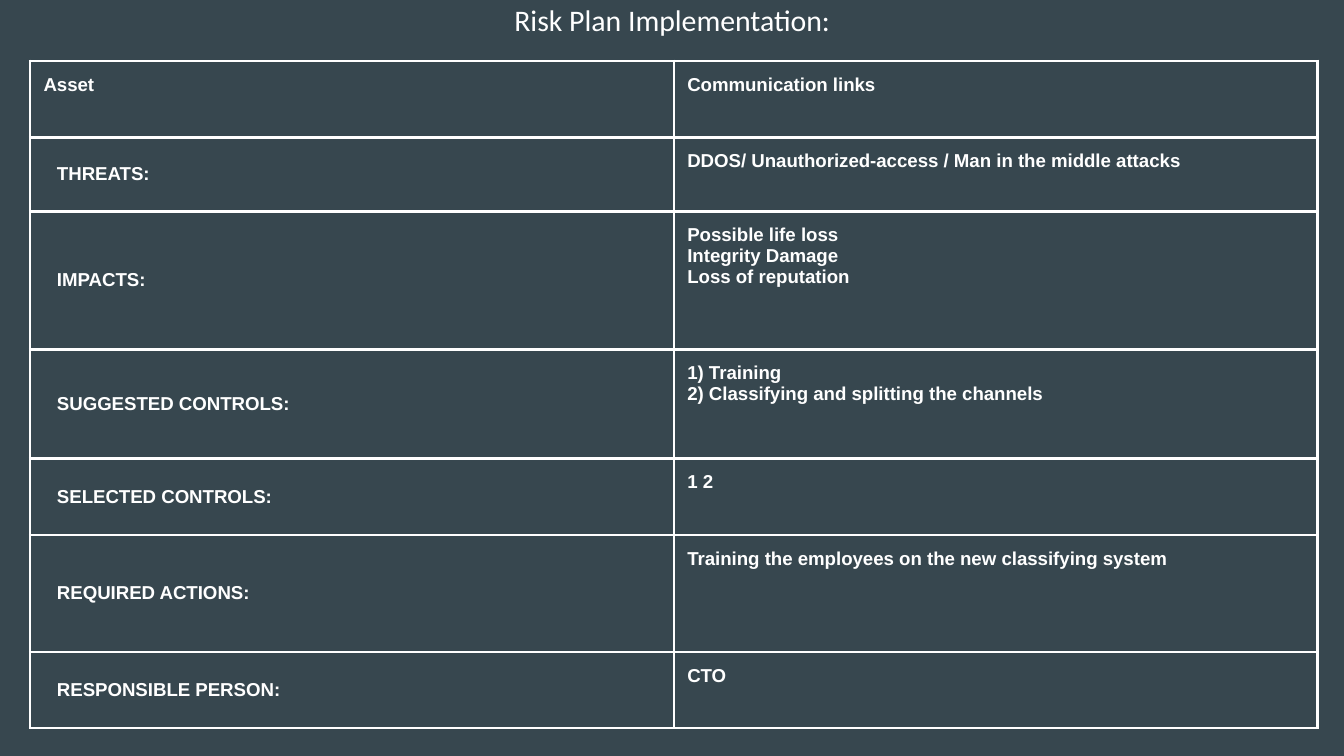
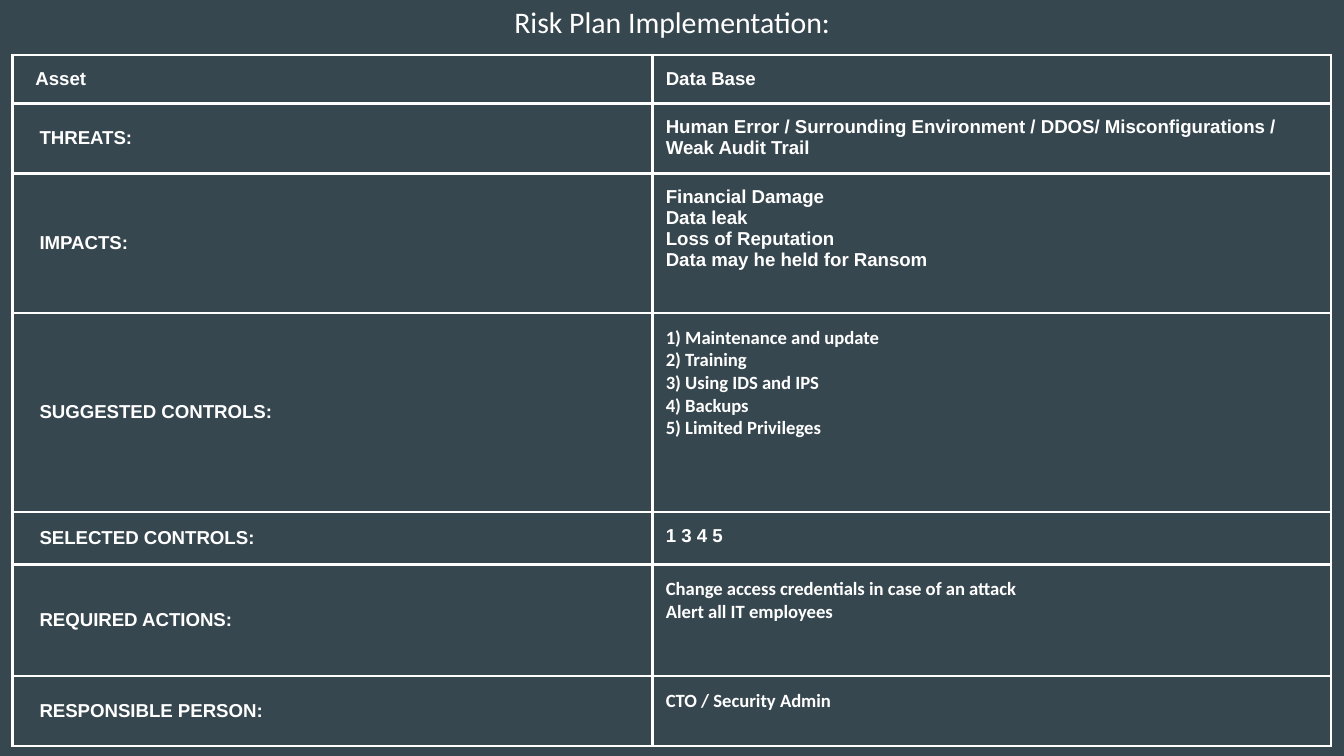
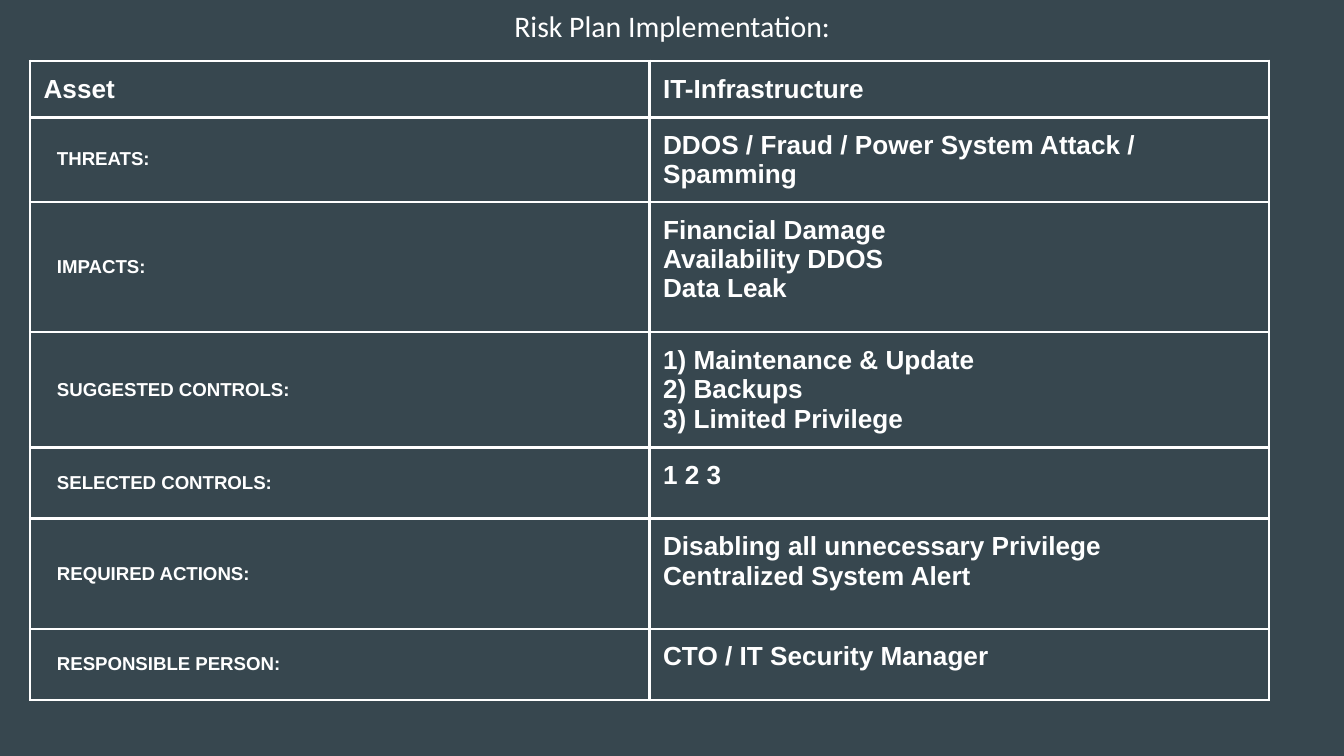
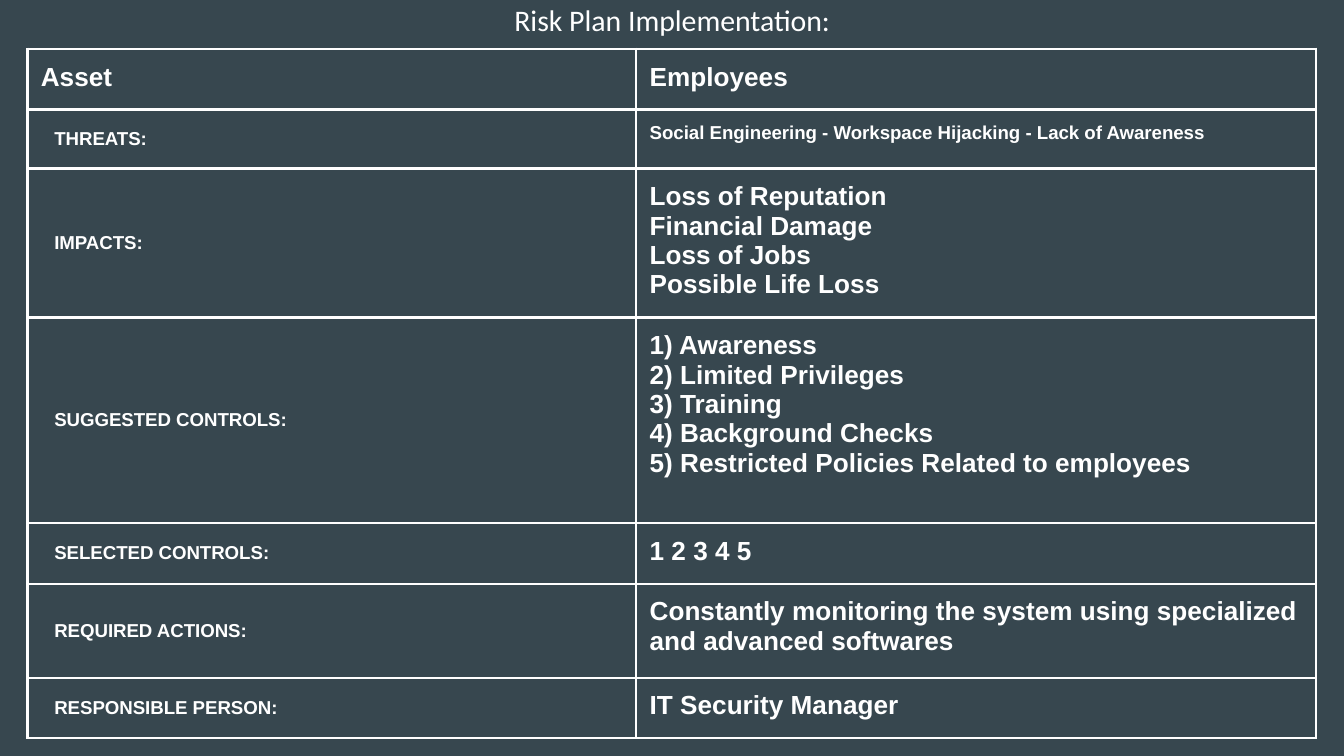
from dataclasses import dataclass, field

from lxml import etree
from pptx import Presentation
from pptx.dml.color import RGBColor
from pptx.enum.text import MSO_ANCHOR, PP_ALIGN
from pptx.oxml.ns import qn
from pptx.util import Inches, Pt

SLATE = RGBColor(0x37, 0x47, 0x4F)
WHITE = RGBColor(0xFF, 0xFF, 0xFF)
LEFT, CENTER = PP_ALIGN.LEFT, PP_ALIGN.CENTER
TOP, MIDDLE = MSO_ANCHOR.TOP, MSO_ANCHOR.MIDDLE
BODY_FONT, TITLE_FONT = "Arial", "Calibri"
WIDTH, HEIGHT = Inches(10), Inches(5.625)
BORDER = Pt(1.5)
LABEL_SIZE = 10
TITLE_INSETS = (0.1, 0.1, 0.1, 0.1)
VALUE_INSETS = (0.1, 0.1, 0.1, 0.04)
LABEL_INSETS = (0.2, 0.05, 0.1, 0.05)
TITLE = "Risk Plan Implementation:"
LABELS = ("Asset", "THREATS:", "IMPACTS:", "SUGGESTED CONTROLS:",
          "SELECTED CONTROLS:", "REQUIRED ACTIONS:", "RESPONSIBLE PERSON:")


@dataclass
class RiskPlan:
    """One asset's plan; boxes are percentages of the slide."""
    title_top: float
    box: tuple
    columns: tuple
    rows: tuple
    values: tuple
    size: int = 10
    asset_inset: float = 0.1
    formats: dict = field(default_factory=dict)


PLANS = (
    RiskPlan(
        title_top=-1.6, box=(2.24, 8.06, 95.8, 88.3), columns=(1, 1),
        rows=(57, 55, 103, 81, 57, 87, 57),
        values=(
            "Communication links",
            "DDOS/ Unauthorized-access / Man in the middle attacks",
            "Possible life loss\nIntegrity Damage\nLoss of reputation",
            "1) Training\n2) Classifying and splitting the channels",
            "1 2",
            "Training the employees on the new classifying system",
            "CTO")),
    RiskPlan(
        title_top=-1.24, box=(0.94, 7.29, 98.1, 91.38), columns=(476, 505),
        rows=(36, 52, 104, 148, 39, 83, 52), asset_inset=0.17,
        formats={row: {"font": TITLE_FONT} for row in (3, 5, 6)},
        values=(
            "Data Base",
            "Human Error / Surrounding Environment / DDOS/ Misconfigurations / "
            "Weak Audit Trail",
            "Financial Damage\nData leak\nLoss of Reputation\n"
            "Data may he held for Ransom",
            "1) Maintenance and update\n2) Training\n3) Using IDS and IPS\n"
            "4) Backups\n5) Limited Privileges",
            "1 3 4 5",
            "Change access credentials in case of an attack\n"
            "Alert all IT employees",
            "CTO / Security Admin")),
    RiskPlan(
        title_top=-0.71, box=(2.24, 8.06, 92.2, 84.55), columns=(1, 1),
        rows=(42, 63, 97, 86, 53, 82, 53), size=14,
        values=(
            "IT-Infrastructure",
            "DDOS / Fraud / Power System Attack / Spamming",
            "Financial Damage\nAvailability DDOS\nData Leak",
            "1) Maintenance & Update\n2) Backups\n3) Limited Privilege",
            "1 2 3",
            "Disabling all unnecessary Privilege\nCentralized System Alert",
            "CTO / IT Security Manager")),
    RiskPlan(
        title_top=-1.6, box=(2.04, 6.47, 95.9, 91.2), columns=(453, 506),
        rows=(45, 44, 111, 153, 45, 70, 45), size=14,
        formats={1: {"size": 10}},
        values=(
            "Employees",
            "Social Engineering - Workspace Hijacking - Lack of Awareness",
            "Loss of Reputation\nFinancial Damage\nLoss of Jobs\n"
            "Possible Life Loss",
            "1) Awareness\n2) Limited Privileges\n3) Training\n"
            "4) Background Checks\n5) Restricted Policies Related to employees",
            "1 2 3 4 5",
            "Constantly monitoring the system using specialized and advanced "
            "softwares",
            "IT Security Manager")),
)


def place(left, top, width, height):
    """Turn percentages of the slide into a position and a size."""
    return (int(WIDTH * left / 100), int(HEIGHT * top / 100),
            int(WIDTH * width / 100), int(HEIGHT * height / 100))


def share(total, weights):
    """Split a length in proportion to the weights."""
    return [int(total * w / sum(weights)) for w in weights]


def write(tf, text, size=10, font=BODY_FONT, bold=True, align=LEFT):
    """Write each line of the text as a formatted paragraph."""
    for i, line in enumerate(text.split("\n")):
        p = tf.add_paragraph() if i else tf.paragraphs[0]
        p.alignment = align
        p.line_spacing = 1.0
        r = p.add_run()
        r.text = line
        r.font.size, r.font.name, r.font.bold = Pt(size), font, bold
        r.font.color.rgb = WHITE


def set_insets(holder, insets):
    """Set the left, top, right and bottom margins of a cell or text frame."""
    for side, inset in zip(("left", "top", "right", "bottom"), insets):
        setattr(holder, f"margin_{side}", Inches(inset))


def add_borders(cell):
    """Draw a white line on all four sides of a cell."""
    tc_pr = cell._tc.get_or_add_tcPr()
    for i, side in enumerate(("lnL", "lnR", "lnT", "lnB")):
        ln = etree.Element(qn(f"a:{side}"), w=str(int(BORDER)))
        fill = etree.SubElement(ln, qn("a:solidFill"))
        etree.SubElement(fill, qn("a:srgbClr"), val=str(WHITE))
        tc_pr.insert(i, ln)


def fill_cell(cell, text, insets, anchor=TOP, **text_format):
    """Give a cell its text, margins, borders and clear background."""
    cell.fill.background()
    add_borders(cell)
    set_insets(cell, insets)
    cell.vertical_anchor = anchor
    write(cell.text_frame, text, **text_format)


def add_title(s, top):
    """Add the centred slide title."""
    tf = s.shapes.add_textbox(*place(25.77, top, 48.5, 9.6)).text_frame
    tf.word_wrap = True
    set_insets(tf, TITLE_INSETS)
    write(tf, TITLE, size=16, font=TITLE_FONT, bold=False, align=CENTER)


def add_plan_table(s, plan):
    """Add the two-column table of labels and values."""
    box = place(*plan.box)
    table = s.shapes.add_table(len(LABELS), 2, *box).table
    table.first_row = table.horz_banding = False
    for column, width in zip(table.columns, share(box[2], plan.columns)):
        column.width = width
    for row, height in zip(table.rows, share(box[3], plan.rows)):
        row.height = height
    for i, (label, value) in enumerate(zip(LABELS, plan.values)):
        if i:
            fill_cell(table.cell(i, 0), label, LABEL_INSETS, MIDDLE,
                      size=LABEL_SIZE)
        else:
            fill_cell(table.cell(i, 0), label,
                      (plan.asset_inset, *VALUE_INSETS[1:]), size=plan.size)
        value_format = {"size": plan.size, **plan.formats.get(i, {})}
        fill_cell(table.cell(i, 1), value, VALUE_INSETS, **value_format)


def add_plan_slide(prs, plan):
    """Add a slide with one risk plan."""
    s = prs.slides.add_slide(prs.slide_layouts[6])
    s.background.fill.solid()
    s.background.fill.fore_color.rgb = SLATE
    add_plan_table(s, plan)
    add_title(s, plan.title_top)


def main():
    """Build and save the presentation."""
    prs = Presentation()
    prs.slide_width, prs.slide_height = WIDTH, HEIGHT
    for plan in PLANS:
        add_plan_slide(prs, plan)
    prs.save("out.pptx")


if __name__ == "__main__":
    main()
